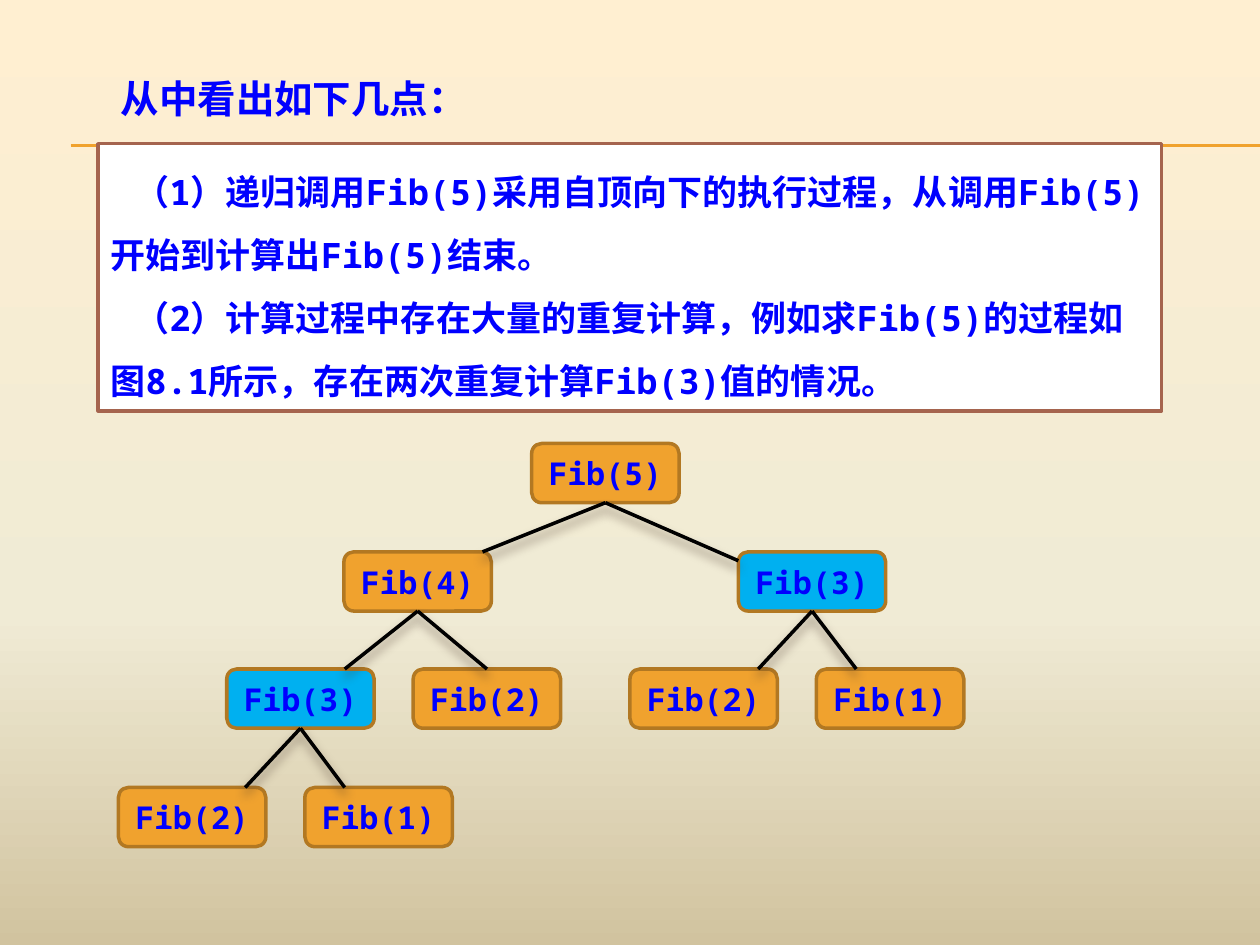
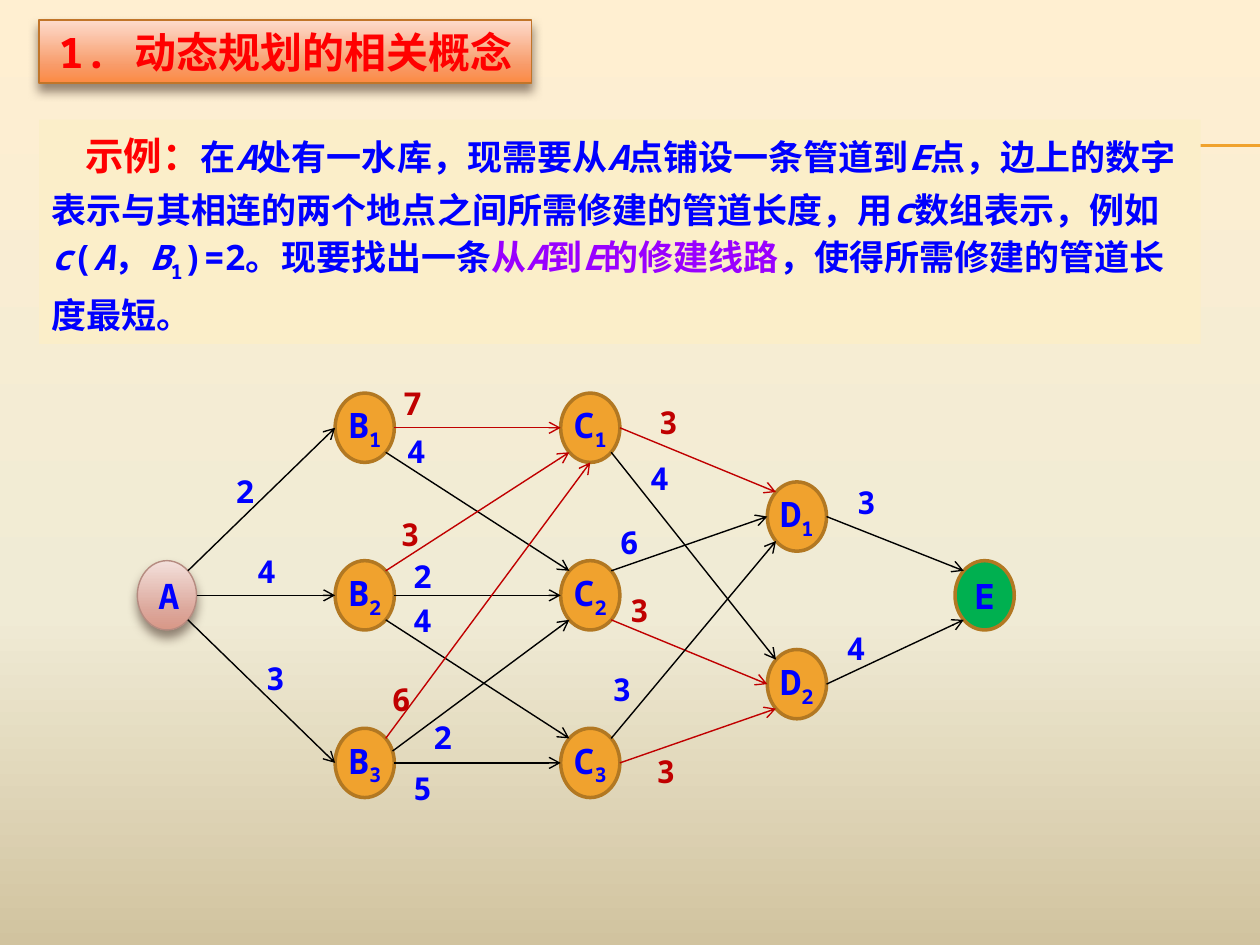
import math
import pptx
import pptx.dml.color
import pptx.enum.shapes
import pptx.enum.text
import pptx.oxml
import pptx.oxml.ns
import pptx.util

WIDE, HIGH = 10, 7.5
MONO, HAN = "Noto Sans Mono", "Noto Sans CJK SC"
BLUE, RED, DARK, PURPLE = "0000FF", "FF0000", "C00000", "9900FF"
GOLD, EDGE, SKY, GREEN, BLACK = "F0A22E", "B27822", "00B0F0", "00B050", "000000"
PAPER = [(0, "FFEFD1"), (65, "F0EBD5"), (100, "D1C39F")]
PEACH = [(0, "FDDBCC"), (72, "F89B69"), (100, "FC8A43")]
ROSE = [(0, "F3E0DB"), (72, "DCA79B"), (100, "D89787")]
THIN, BOLD = 0.79, 2

POINTS = [
    "（1）递归调用Fib(5)采用自顶向下的执行过程，从调用Fib(5)开始到计算出Fib(5)结束。",
    "（2）计算过程中存在大量的重复计算，例如求Fib(5)的过程如图8.1所示，存在两次重复计算Fib(3)值的情况。",
]

BOX = (1.17, 0.47)
LEVELS = [3.52, 4.38, 5.31, 6.25]
TREE = [
    ("root", "Fib(5)", 4.22, 0, None, None),
    ("left", "Fib(4)", 2.73, 1, "root", (0.94, 0)),
    ("right", "Fib(3)", 5.86, 1, "root", (0, 0.15)),
    ("ll", "Fib(3)", 1.8, 2, "left", (0.8, 0)),
    ("lr", "Fib(2)", 3.28, 2, "left", (0.5, 0)),
    ("rl", "Fib(2)", 5, 2, "right", (0.87, 0)),
    ("rr", "Fib(1)", 6.48, 2, "right", (0.27, 0)),
    ("lll", "Fib(2)", 0.94, 3, "ll", (0.86, 0)),
    ("llr", "Fib(1)", 2.42, 3, "ll", (0.27, 0)),
]

STORY = [
    ("示例：", RED, "big"), ("在", BLUE, ""), ("A", BLUE, "i"),
    ("处有一水库，现需要从", BLUE, ""), ("A", BLUE, "i"),
    ("点铺设一条管道到", BLUE, ""), ("E", BLUE, "i"),
    ("点，边上的数字表示与其相连的两个地点之间所需修建的管道长度，用", BLUE, ""),
    ("c", BLUE, "i"), ("数组表示，例如", BLUE, ""), ("c", BLUE, "i"),
    ("(", BLUE, ""), ("A", BLUE, "i"), ("，", BLUE, ""), ("B", BLUE, "i"),
    ("1", BLUE, "sub"), (")=2。现要找出一条", BLUE, ""),
    ("从", PURPLE, ""), ("A", PURPLE, "i"), ("到", PURPLE, ""),
    ("E", PURPLE, "i"), ("的修建线路", PURPLE, ""),
    ("，使得所需修建的管道长度最短。", BLUE, ""),
]

OVAL = (0.47, 0.55)
TOP, STEP = 3.12, 1.33
STAGES = [
    ("A", 1.09, 1, 1), ("B", 2.66, 0, 3), ("C", 4.45, 0, 3),
    ("D", 6.09, 0.53, 2), ("E", 7.58, 1, 1),
]
TURN = {"e": 0, "se": 45, "s": 90, "w": 180, "sw": 135, "nw": 225, "ne": 315, "ene": 340}
PIPES = [
    ("A", "ne", "B1", "w", "2", 1.87, 3.75, BLUE),
    ("A", "e", "B2", "w", "4", 2.04, 4.38, BLUE),
    ("A", "se", "B3", "w", "3", 2.11, 5.23, BLUE),
    ("B1", "e", "C1", "w", "7", 3.2, 3.05, DARK),
    ("B1", "se", "C2", "nw", "4", 3.23, 3.43, BLUE),
    ("B2", "ne", "C1", "sw", "3", 3.18, 4.09, DARK),
    ("B2", "e", "C2", "w", "2", 3.28, 4.42, BLUE),
    ("B2", "se", "C3", "nw", "4", 3.28, 4.77, BLUE),
    ("B3", "ne", "C1", "s", "6", 3.11, 5.4, DARK),
    ("B3", "ene", "C2", "sw", "2", 3.44, 5.7, BLUE),
    ("B3", "e", "C3", "w", "5", 3.28, 6.1, BLUE),
    ("C1", "e", "D1", "nw", "3", 5.23, 3.2, DARK),
    ("C1", "se", "D2", "nw", "4", 5.16, 3.64, BLUE),
    ("C2", "ne", "D1", "w", "6", 4.92, 4.15, BLUE),
    ("C2", "se", "D2", "w", "3", 5, 4.69, DARK),
    ("C3", "ne", "D1", "sw", "3", 4.86, 5.32, BLUE),
    ("C3", "e", "D2", "sw", "3", 5.21, 5.97, DARK),
    ("D1", "e", "E", "nw", "3", 6.8, 3.83, BLUE),
    ("D2", "e", "E", "sw", "4", 6.72, 4.99, BLUE),
]

inch, pt = pptx.util.Inches, pptx.util.Pt
KIND = pptx.enum.shapes.MSO_SHAPE
ALIGN = pptx.enum.text.PP_ALIGN
ANCHOR = pptx.enum.text.MSO_ANCHOR
A = "http://schemas.openxmlformats.org/drawingml/2006/main"


def hue(code):
    return pptx.dml.color.RGBColor.from_string(code)


def make(body):
    return pptx.oxml.parse_xml(body.replace(" ", f' xmlns:a="{A}" ', 1))


def blend(fill, owner, stops):
    fill.gradient()
    node = next(owner.iter(pptx.oxml.ns.qn("a:gradFill")))
    for kid in list(node):
        node.remove(kid)
    marks = "".join(f'<a:gs pos="{pos * 1000}"><a:srgbClr val="{code}"/></a:gs>'
                    for pos, code in stops)
    node.append(make(f"<a:gsLst >{marks}</a:gsLst>"))
    node.append(make('<a:lin ang="5400000" scaled="0"/>'))


def shade(part, on):
    props = part._element.spPr
    for old in props.findall(pptx.oxml.ns.qn("a:effectLst")):
        props.remove(old)
    drop = ('<a:outerShdw blurRad="76200" dist="50800" dir="5400000" rotWithShape="0">'
            '<a:srgbClr val="4E3B30"><a:alpha val="60000"/></a:srgbClr></a:outerShdw>')
    props.append(make(f"<a:effectLst >{drop if on else ''}</a:effectLst>"))


def write(para, text, size, code, face=MONO, **look):
    run = para.add_run()
    run.text = text
    for key, val in {"size": pt(size), "name": face, "bold": True, **look}.items():
        setattr(run.font, key, val)
    run.font.color.rgb = hue(code)
    props = run._r.get_or_add_rPr()
    props.append(make(f'<a:ea typeface="{HAN}"/>'))
    return props


def sub(para, text, size, code):
    write(para, text, size, code).set("baseline", "-25000")


def frame(part, anchor=ANCHOR.TOP, align=ALIGN.LEFT, pad=None):
    body = part.text_frame
    body.word_wrap, body.vertical_anchor = True, anchor
    for side, gap in (pad or {}).items():
        setattr(body, f"margin_{side}", inch(gap))
    body.paragraphs[0].alignment = align
    return body


def shape(page, kind, spot, fill, line=None, width=BOLD, glow=False):
    part = page.shapes.add_shape(kind, *map(inch, spot))
    part.shadow.inherit = False
    if isinstance(fill, list):
        blend(part.fill, part._element, fill)
    else:
        part.fill.solid()
        part.fill.fore_color.rgb = hue(fill)
    if line:
        part.line.color.rgb = hue(line)
        part.line.width = pt(width)
    else:
        part.line.fill.background()
    if glow:
        shade(part, True)
    return part


def link(page, start, end, code, width, glow=False, arrow=False):
    part = page.shapes.add_connector(pptx.enum.shapes.MSO_CONNECTOR.STRAIGHT,
                                     *map(inch, (*start, *end)))
    part.line.color.rgb = hue(code)
    part.line.width = pt(width)
    if arrow:
        part.line._get_or_add_ln().append(make('<a:tailEnd type="arrow"/>'))
    shade(part, glow)
    return part


def indent(para, gap, space):
    para._p.get_or_add_pPr().set("indent", str(inch(gap)))
    para.line_spacing = space


def sheet(deck):
    page = deck.slides.add_slide(deck.slide_layouts[6])
    blend(page.background.fill, page._element, PAPER)
    for y in (1.15, 1.16):
        link(page, (0.56, y), (WIDE, y), GOLD, 0.75)
    return page


def recap(deck):
    page = sheet(deck)
    head = page.shapes.add_textbox(*map(inch, (0.86, 0.55, 5.78, 0.47)))
    write(frame(head).paragraphs[0], "从中看出如下几点：", 22, BLUE, HAN)
    body = frame(shape(page, KIND.RECTANGLE, (0.78, 1.14, 8.44, 2.12), "FFFFFF", "A5644E"))
    for i, text in enumerate(POINTS):
        para = body.add_paragraph() if i else body.paragraphs[0]
        para.alignment = ALIGN.LEFT
        indent(para, 0.19, 1.5)
        write(para, text, 20, BLUE)
    nodes = {}
    for key, text, x, row, *_ in TREE:
        fill = SKY if text == "Fib(3)" else GOLD
        part = shape(page, KIND.ROUNDED_RECTANGLE, (x, LEVELS[row], *BOX), fill, EDGE)
        write(frame(part, ANCHOR.MIDDLE, ALIGN.CENTER).paragraphs[0], text, 18, BLUE)
        nodes[key] = part
    for key, _, x, row, up, share in TREE:
        if up:
            end = (x + share[0] * BOX[0], LEVELS[row] + share[1] * BOX[1])
            line = link(page, end, end, BLACK, BOLD, glow=True)
            line.begin_connect(nodes[up], 2)
            if share == (0.5, 0):
                line.end_connect(nodes[key], 0)


def rim(spot, side):
    turn = math.radians(TURN[side])
    return (spot[0] + OVAL[0] * (1 + math.cos(turn)) / 2,
            spot[1] + OVAL[1] * (1 + math.sin(turn)) / 2)


def network(deck):
    page = sheet(deck)
    head = shape(page, KIND.RECTANGLE, (0.31, 0.16, 3.91, 0.5), PEACH, "C17529", THIN, True)
    write(frame(head, align=ALIGN.CENTER).paragraphs[0], "1. 动态规划的相关概念", 24, RED)
    spots = {}
    for name, x, row, count in STAGES:
        for i in range(count):
            num = str(i + 1) if count > 1 else ""
            spot = spots[name + num] = (x, TOP + (row + i) * STEP)
            if name == "A":
                part = shape(page, KIND.OVAL, (*spot, *OVAL), ROSE, "B58B80", THIN, True)
                pad = None
            else:
                fill = GREEN if name == "E" else GOLD
                part = shape(page, KIND.OVAL, (*spot, *OVAL), fill, EDGE)
                pad = {"left": 0, "right": 0}
            para = frame(part, ANCHOR.MIDDLE, ALIGN.CENTER, pad).paragraphs[0]
            write(para, name, 20, BLUE)
            if num:
                sub(para, num, 20, BLUE)
    none = dict.fromkeys(("left", "top", "right", "bottom"), 0)
    for start, out, end, into, cost, x, y, code in PIPES:
        tint = DARK if code == DARK else BLACK
        link(page, rim(spots[start], out), rim(spots[end], into), tint, THIN, arrow=True)
        tag = page.shapes.add_textbox(*map(inch, (x, y, 0.23, 0.3)))
        write(frame(tag, pad=none).paragraphs[0], cost, 18, code)
    para = frame(shape(page, KIND.RECTANGLE, (0.31, 0.95, 9.22, 1.78), "FBEEC9")).paragraphs[0]
    indent(para, 0.27, pt(30))
    for text, code, mark in STORY:
        if mark == "sub":
            sub(para, text, 20, code)
        else:
            write(para, text, 22 if mark == "big" else 20, code, italic=mark == "i")


def main():
    deck = pptx.Presentation()
    deck.slide_width, deck.slide_height = inch(WIDE), inch(HIGH)
    recap(deck)
    network(deck)
    deck.save("out.pptx")


if __name__ == "__main__":
    main()
